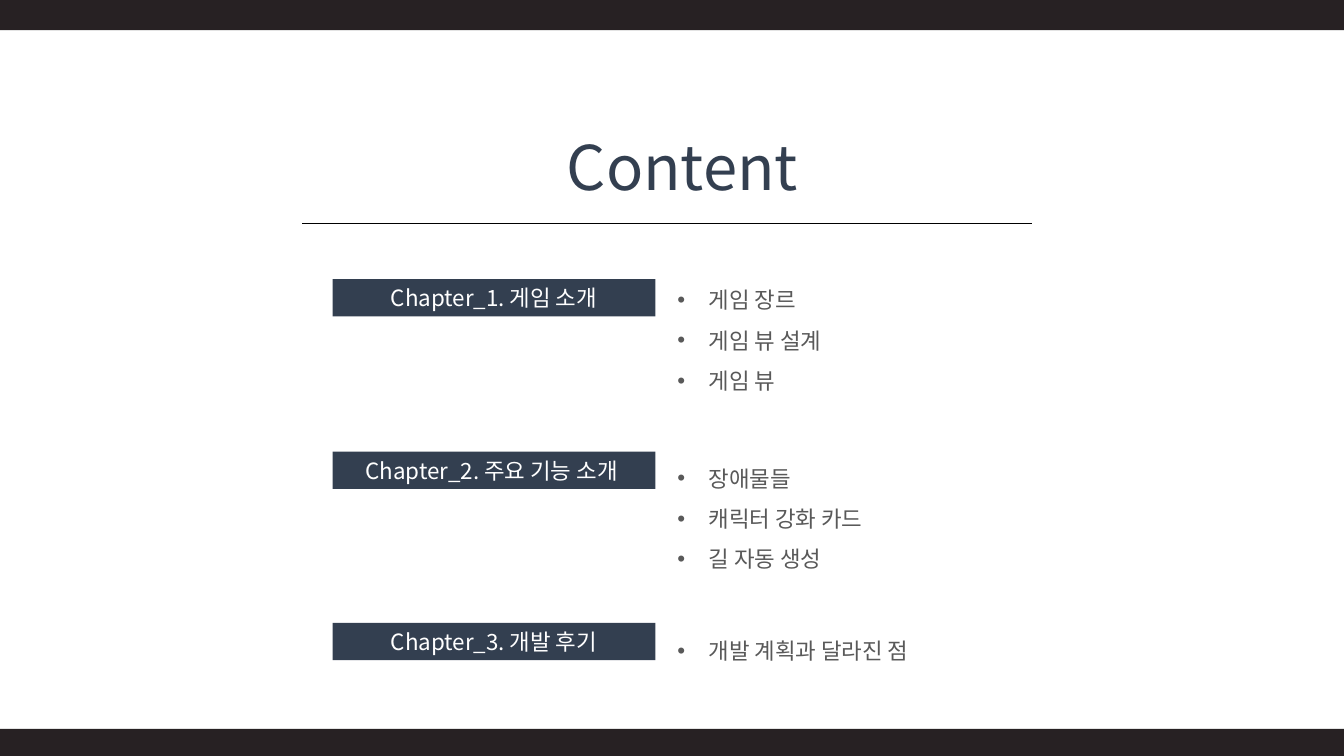
from dataclasses import dataclass

from lxml import etree
from pptx import Presentation
from pptx.dml.color import RGBColor
from pptx.enum.shapes import MSO_CONNECTOR, MSO_SHAPE
from pptx.enum.text import MSO_ANCHOR, PP_ALIGN
from pptx.oxml.ns import qn
from pptx.shapes.autoshape import Shape
from pptx.slide import Slide
from pptx.text.text import _Paragraph
from pptx.util import Inches, Pt

CENTER, LEFT = PP_ALIGN.CENTER, PP_ALIGN.LEFT
TOP, MIDDLE = MSO_ANCHOR.TOP, MSO_ANCHOR.MIDDLE
RECTANGLE, STRAIGHT = MSO_SHAPE.RECTANGLE, MSO_CONNECTOR.STRAIGHT


@dataclass(frozen=True)
class Theme:
    """Colours, font and type sizes of the slide."""

    navy: RGBColor = RGBColor(0x33, 0x3F, 0x50)
    grey: RGBColor = RGBColor(0x59, 0x59, 0x59)
    white: RGBColor = RGBColor(0xFF, 0xFF, 0xFF)
    black: RGBColor = RGBColor(0, 0, 0)
    band: RGBColor = RGBColor(0x27, 0x21, 0x23)
    font: str = "Noto Sans CJK KR"
    title: float = 44
    body: float = 16
    leading: float = 1.2
    list_leading: float = 1.8


@dataclass(frozen=True)
class Box:
    """Position and size in inches."""

    left: float
    top: float
    width: float
    height: float

    def emu(self) -> tuple[int, ...]:
        """Return the four lengths for a shape call."""
        return tuple(Inches(v) for v in (self.left, self.top, self.width, self.height))


@dataclass(frozen=True)
class Chapter:
    """A chapter label and its list of topics."""

    label: str
    label_top: float
    topics: tuple[str, ...]
    topics_box: Box


THEME = Theme()
BANDS = (Box(0, 7.23, 13.33, 0.28), Box(0, -0.03, 13.33, 0.33))
CHAPTERS = (
    Chapter("Chapter_1. 게임 소개", 2.77, ("게임 장르", "게임 뷰 설계", "게임 뷰"),
            Box(6.62, 2.66, 3.64, 2.07)),
    Chapter("Chapter_2. 주요 기능 소개 ", 4.48, ("장애물들", "캐릭터 강화 카드", "길 자동 생성"),
            Box(6.62, 4.43, 2.47, 1.26)),
    Chapter("Chapter_3. 개발 후기", 6.18, ("개발 계획과 달라진 점",),
            Box(6.62, 6.14, 3.2, 0.45)),
)


def add_bullet(p: _Paragraph) -> None:
    """Give a paragraph a hanging round bullet."""
    pPr = p._p.get_or_add_pPr()
    pPr.set("marL", str(Inches(0.31)))
    pPr.set("indent", str(Inches(-0.31)))
    etree.SubElement(pPr, qn("a:buFont")).set("typeface", "Arial")
    etree.SubElement(pPr, qn("a:buChar")).set("char", "•")


def write(sp: Shape, lines: tuple[str, ...], size: float, color: RGBColor,
          leading: float = THEME.leading, align: PP_ALIGN = CENTER,
          anchor: MSO_ANCHOR = TOP, bullets: bool = False) -> None:
    """Fill a shape with one paragraph per line."""
    tf = sp.text_frame
    tf.word_wrap = True
    tf.vertical_anchor = anchor
    for i, line in enumerate(lines):
        p = tf.paragraphs[0] if i == 0 else tf.add_paragraph()
        formats = {"alignment": align, "line_spacing": Pt(size * leading)}
        for name, value in formats.items():
            setattr(p, name, value)
        if bullets:
            add_bullet(p)
        r = p.add_run()
        r.text = line
        for name, value in {"name": THEME.font, "size": Pt(size)}.items():
            setattr(r.font, name, value)
        r.font.color.rgb = color
        etree.SubElement(r._r.get_or_add_rPr(), qn("a:ea")).set("typeface", THEME.font)


def add_rect(s: Slide, box: Box, color: RGBColor) -> Shape:
    """Draw a plain filled rectangle."""
    sp = s.shapes.add_shape(RECTANGLE, *box.emu())
    sp.shadow.inherit = False
    sp.fill.solid()
    sp.fill.fore_color.rgb = color
    sp.line.fill.background()
    return sp


def add_rule(s: Slide, left: float, right: float, y: float) -> None:
    """Draw the thin line below the title."""
    line = s.shapes.add_connector(STRAIGHT, Inches(left), Inches(y), Inches(right), Inches(y))
    line.line.color.rgb = THEME.black
    line.line.width = Pt(0.5)
    etree.SubElement(line._element.spPr, qn("a:effectLst"))


def add_chapter(s: Slide, chapter: Chapter) -> None:
    """Draw a chapter label and its topics."""
    label = add_rect(s, Box(3.3, chapter.label_top, 3.2, 0.37), THEME.navy)
    write(label, (chapter.label,), THEME.body, THEME.white, anchor=MIDDLE)
    topics = s.shapes.add_textbox(*chapter.topics_box.emu())
    write(topics, chapter.topics, THEME.body, THEME.grey, THEME.list_leading, LEFT, bullets=True)


def main() -> None:
    """Build and save the slide."""
    prs = Presentation()
    prs.slide_width, prs.slide_height = Inches(13.33), Inches(7.5)
    s = prs.slides.add_slide(prs.slide_layouts[6])
    title = s.shapes.add_textbox(*Box(4.67, 1.23, 4.2, 1.25).emu())
    write(title, ("Content",), THEME.title, THEME.navy)
    for band in BANDS:
        add_rect(s, band, THEME.band)
    add_rule(s, 3, 10.24, 2.22)
    for chapter in CHAPTERS:
        add_chapter(s, chapter)
    prs.save("out.pptx")


if __name__ == "__main__":
    main()
